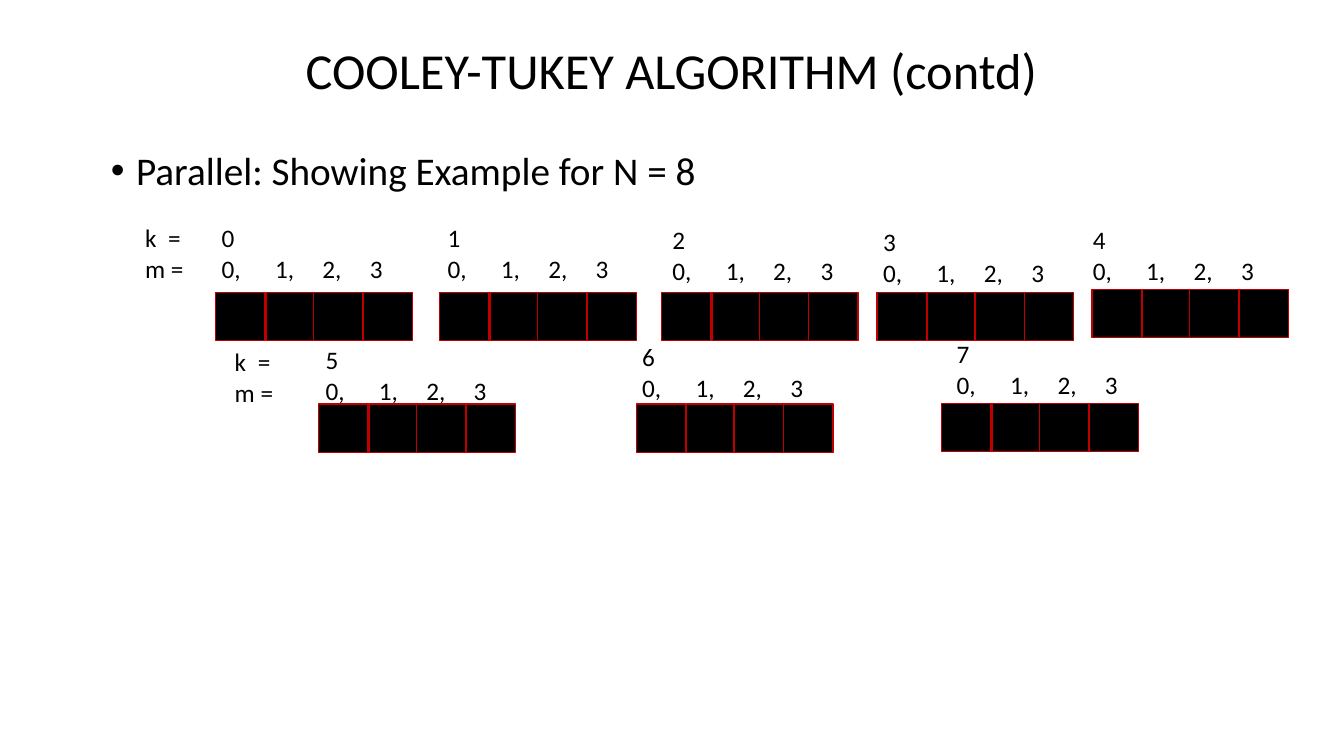
from dataclasses import dataclass

from lxml.etree import SubElement
from pptx import Presentation
from pptx.dml.color import RGBColor
from pptx.enum.shapes import MSO_SHAPE
from pptx.enum.text import MSO_ANCHOR, MSO_AUTO_SIZE, PP_ALIGN
from pptx.oxml.ns import qn
from pptx.util import Inches, Pt


@dataclass(frozen=True)
class Theme:
    """Colours, font and type sizes of the deck."""
    font: str = "Calibri"
    ink: RGBColor = RGBColor(0, 0, 0)
    edge: RGBColor = RGBColor(0xC0, 0, 0)
    title_size: int = 36
    body_size: int = 28
    label_size: int = 18


THEME = Theme()
CELL_OFFSETS = (0, 0.5, 0.97, 1.46)
CELL_WIDTH, CELL_HEIGHT = 0.49, 0.48
INDEX_TABS = (0.53, 1.0, 1.47)
EQUALS_TAB = (0.23,)
LABEL_WIDTH, HEADING_WIDTH, LABEL_HEIGHT = 1.99, 1.16, 0.71
HEADINGS = ((1.34, 2.16), (2.23, 3.39))
BLOCKS = (
    ((2.14, 2.9), (2.1, 2.16)),
    ((4.36, 2.9), (4.34, 2.16)),
    ((6.56, 2.9), (6.57, 2.18)),
    ((8.7, 2.9), (8.66, 2.2)),
    ((10.83, 2.87), (10.74, 2.18)),
    ((3.16, 4.01), (3.13, 3.37)),
    ((6.31, 4.01), (6.27, 3.34)),
    ((9.34, 4.0), (9.39, 3.31)),
)


def place(shape, left, top, width, height):
    """Move and size a shape in inches."""
    shape.left, shape.top = Inches(left), Inches(top)
    shape.width, shape.height = Inches(width), Inches(height)


def format_runs(frame, size):
    """Give every run of a text frame the theme font at one size."""
    for para in frame.paragraphs:
        for span in para.runs:
            span.font.name = THEME.font
            span.font.size = Pt(size)
            span.font.color.rgb = THEME.ink


def fill_placeholder(shape, box, text, size):
    """Place a placeholder and set its single paragraph."""
    place(shape, *box)
    frame = shape.text_frame
    frame.text = text
    frame.auto_size = MSO_AUTO_SIZE.NONE
    format_runs(frame, size)
    para = frame.paragraphs[0]
    para.line_spacing = 0.9
    return para


def add_heading(page):
    """Fill the title and the bulleted body."""
    title = fill_placeholder(page.shapes.title, (1, 0, 11.32, 1.45),
                             "COOLEY-TUKEY ALGORITHM (contd)", THEME.title_size)
    title.alignment = PP_ALIGN.CENTER
    page.shapes.title.text_frame.vertical_anchor = MSO_ANCHOR.MIDDLE
    bullet = fill_placeholder(page.placeholders[1], (1, 1.45, 11.98, 4.11),
                              "Parallel: Showing Example for N = 8", THEME.body_size)
    bullet.space_before = Pt(10)
    properties = bullet._p.get_or_add_pPr()
    properties.set("marL", str(Inches(0.25)))
    properties.set("indent", str(Inches(-0.25)))


def add_label(page, origin, width, text, tabs):
    """Add a two-line label whose columns sit on tab stops."""
    box = page.shapes.add_textbox(0, 0, 0, 0)
    place(box, *origin, width, LABEL_HEIGHT)
    frame = box.text_frame
    frame.word_wrap = True
    frame.text = text
    format_runs(frame, THEME.label_size)
    for para in frame.paragraphs:
        stops = SubElement(para._p.get_or_add_pPr(), qn("a:tabLst"))
        for tab in tabs:
            SubElement(stops, qn("a:tab"), pos=str(Inches(tab)), algn="l")


def add_cells(page, left, top):
    """Add one grouped row of memory cells."""
    group = page.shapes.add_group_shape()
    for offset in CELL_OFFSETS:
        cell = group.shapes.add_shape(MSO_SHAPE.RECTANGLE, 0, 0, 0, 0)
        place(cell, left + offset, top, CELL_WIDTH, CELL_HEIGHT)
        cell.shadow.inherit = False
        cell.fill.solid()
        cell.fill.fore_color.rgb = THEME.ink
        cell.line.color.rgb = THEME.edge
        cell.line.width = Pt(1)


def add_index_blocks(page):
    """Add the cells and labels for every k, then the row headings."""
    indices = ",\t".join(str(m) for m in range(len(CELL_OFFSETS)))
    for cells_origin, _ in BLOCKS:
        add_cells(page, *cells_origin)
    for k, (_, label_origin) in enumerate(BLOCKS):
        add_label(page, label_origin, LABEL_WIDTH, f"{k}\n{indices}", INDEX_TABS)
    for origin in HEADINGS:
        add_label(page, origin, HEADING_WIDTH, "k\t=\nm =", EQUALS_TAB)


def build():
    """Build and save the deck."""
    deck = Presentation()
    deck.slide_width, deck.slide_height = Inches(13.33), Inches(7.5)
    page = deck.slides.add_slide(deck.slide_layouts[1])
    add_heading(page)
    add_index_blocks(page)
    deck.save("out.pptx")


build()
